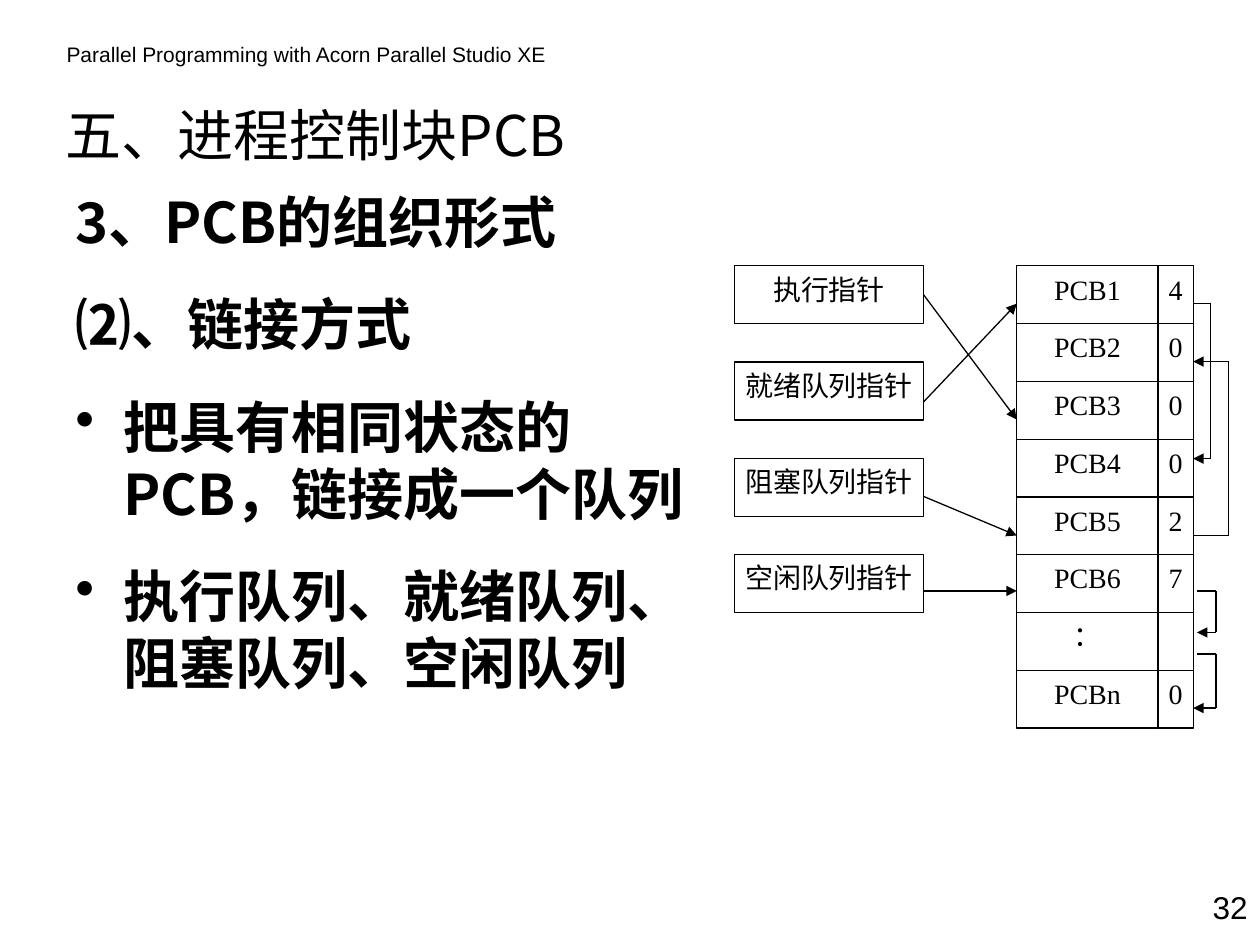
from dataclasses import dataclass

from lxml.etree import SubElement
from pptx import Presentation
from pptx.dml.color import RGBColor
from pptx.enum.shapes import MSO_CONNECTOR, MSO_SHAPE
from pptx.enum.text import MSO_ANCHOR, PP_ALIGN
from pptx.oxml.ns import qn
from pptx.util import Inches, Pt

BLACK = "000000"
WHITE = "FFFFFF"
HEADING_FONT = "Noto Sans CJK SC"
CELL_FONT = "Times New Roman"
ROW_HEIGHT = 0.4585
TABLE_TOP = 2.11
POINTER_LEFT, POINTER_WIDTH, POINTER_STEP = 5.83, 1.5, 0.764
NAME_LEFT, NAME_WIDTH = 8.07, 1.12
LINK_LEFT, LINK_WIDTH = 9.19, 0.28


@dataclass
class Block:
    name: str
    link: str


@dataclass
class Pointer:
    label: str
    start_y: float
    end_y: float


@dataclass
class Link:
    start: tuple[float, float]
    end: tuple[float, float]
    bend_x: float


BLOCKS = [
    Block("PCB1", "4"), Block("PCB2", "0"), Block("PCB3", "0"), Block("PCB4", "0"),
    Block("PCB5", "2"), Block("PCB6", "7"), Block("：", ""), Block("PCBn", "0"),
]
POINTERS = [
    Pointer("执行指针", 2.34, 3.33),
    Pointer("就绪队列指针", 3.19, 2.41),
    Pointer("阻塞队列指针", 3.94, 4.25),
    Pointer("空闲队列指针", 4.69, 4.69),
]
LINKS = [
    Link((9.47, 2.41), (9.47, 3.64), 9.61),
    Link((9.47, 4.25), (9.47, 2.87), 9.75),
    Link((9.5, 4.69), (9.5, 5.02), 9.65),
    Link((9.5, 5.19), (9.47, 5.62), 9.65),
]


def colour(code: str) -> RGBColor:
    return RGBColor.from_string(code)


def add_text(frame, text: str, *, size: float, font: str, bold: bool = False,
             align=PP_ALIGN.LEFT, before: float = 0, hanging: float = 0,
             bullet: str = "") -> None:
    first = frame.paragraphs[0]
    para = frame.add_paragraph() if first.runs else first
    properties = para._p.get_or_add_pPr()
    if hanging:
        properties.set("marL", str(Inches(hanging)))
        properties.set("indent", str(-Inches(hanging)))
    if bullet:
        SubElement(properties, qn("a:buChar")).set("char", bullet)
    para.alignment = align
    para.space_before = Pt(before)
    span = para.add_run()
    span.text = text
    span.font.size = Pt(size)
    span.font.name = font
    span.font.bold = bold
    span.font.color.rgb = colour(BLACK)
    SubElement(span._r.get_or_add_rPr(), qn("a:ea")).set("typeface", HEADING_FONT)


def add_text_box(page, left: float, top: float, width: float, height: float,
                 anchor=MSO_ANCHOR.TOP):
    box = page.shapes.add_textbox(Inches(left), Inches(top), Inches(width), Inches(height))
    frame = box.text_frame
    frame.word_wrap = True
    frame.vertical_anchor = anchor
    return frame


def add_cell(page, left: float, top: float, width: float, text: str):
    box = page.shapes.add_shape(MSO_SHAPE.RECTANGLE, Inches(left), Inches(top),
                                Inches(width), Inches(ROW_HEIGHT))
    box.shadow.inherit = False
    box.fill.solid()
    box.fill.fore_color.rgb = colour(WHITE)
    box.line.color.rgb = colour(BLACK)
    box.line.width = Pt(0.75)
    frame = box.text_frame
    frame.margin_left = frame.margin_right = 0
    frame.vertical_anchor = MSO_ANCHOR.TOP
    if text:
        add_text(frame, text, size=16, font=CELL_FONT, align=PP_ALIGN.CENTER)
    return box


def add_line(page, start: tuple[float, float], end: tuple[float, float], arrow: bool = False):
    line = page.shapes.add_connector(MSO_CONNECTOR.STRAIGHT, Inches(start[0]), Inches(start[1]),
                                     Inches(end[0]), Inches(end[1]))
    line.line.color.rgb = colour(BLACK)
    line.line.width = Pt(0.75)
    if arrow:
        SubElement(line.line._get_or_add_ln(), qn("a:tailEnd")).set("type", "triangle")
    SubElement(line._element.spPr, qn("a:effectLst"))
    return line


def add_link(page, link: Link) -> None:
    upper = (link.bend_x, link.start[1])
    lower = (link.bend_x, link.end[1])
    add_line(page, link.start, upper)
    add_line(page, upper, lower)
    add_line(page, lower, link.end, arrow=True)


def add_pointer(page, index: int, pointer: Pointer) -> None:
    top = TABLE_TOP + index * POINTER_STEP
    right = POINTER_LEFT + POINTER_WIDTH
    box = add_cell(page, POINTER_LEFT, top, POINTER_WIDTH, pointer.label)
    line = add_line(page, (right, pointer.start_y), (NAME_LEFT, pointer.end_y), arrow=True)
    if abs(pointer.start_y - top - ROW_HEIGHT / 2) < 0.01:
        line.begin_connect(box, 3)


def main() -> None:
    deck = Presentation()
    deck.slide_width, deck.slide_height = Inches(10), Inches(7.5)
    page = deck.slides.add_slide(deck.slide_layouts[6])

    header = add_text_box(page, 0.43, 0.28, 4.3, 0.3)
    add_text(header, "Parallel Programming with Acorn Parallel Studio XE", size=12, font="Arial")
    title = add_text_box(page, 0.42, 0.69, 5.67, 0.75, MSO_ANCHOR.MIDDLE)
    add_text(title, "五、进程控制块PCB", size=32, font=HEADING_FONT)

    body = add_text_box(page, 0.5, 1.44, 5.33, 4.58)
    for text, before, bullet in [
        ("3、PCB的组织形式", 0, ""),
        ("⑵、链接方式", 20, ""),
        ("把具有相同状态的PCB，链接成一个队列", 20, "•"),
        ("执行队列、就绪队列、阻塞队列、空闲队列", 20, "•"),
    ]:
        add_text(body, text, size=32, font=HEADING_FONT, bold=True, before=before,
                 hanging=0.38, bullet=bullet)

    for row, block in enumerate(BLOCKS):
        top = TABLE_TOP + row * ROW_HEIGHT
        add_cell(page, NAME_LEFT, top, NAME_WIDTH, block.name)
        add_cell(page, LINK_LEFT, top, LINK_WIDTH, block.link)
    for link in LINKS:
        add_link(page, link)
    for index, pointer in enumerate(POINTERS):
        add_pointer(page, index, pointer)

    number = add_text_box(page, 9.33, 7, 0.67, 0.4)
    add_text(number, "32", size=18, font="Arial", align=PP_ALIGN.RIGHT)
    deck.save("out.pptx")


if __name__ == "__main__":
    main()
